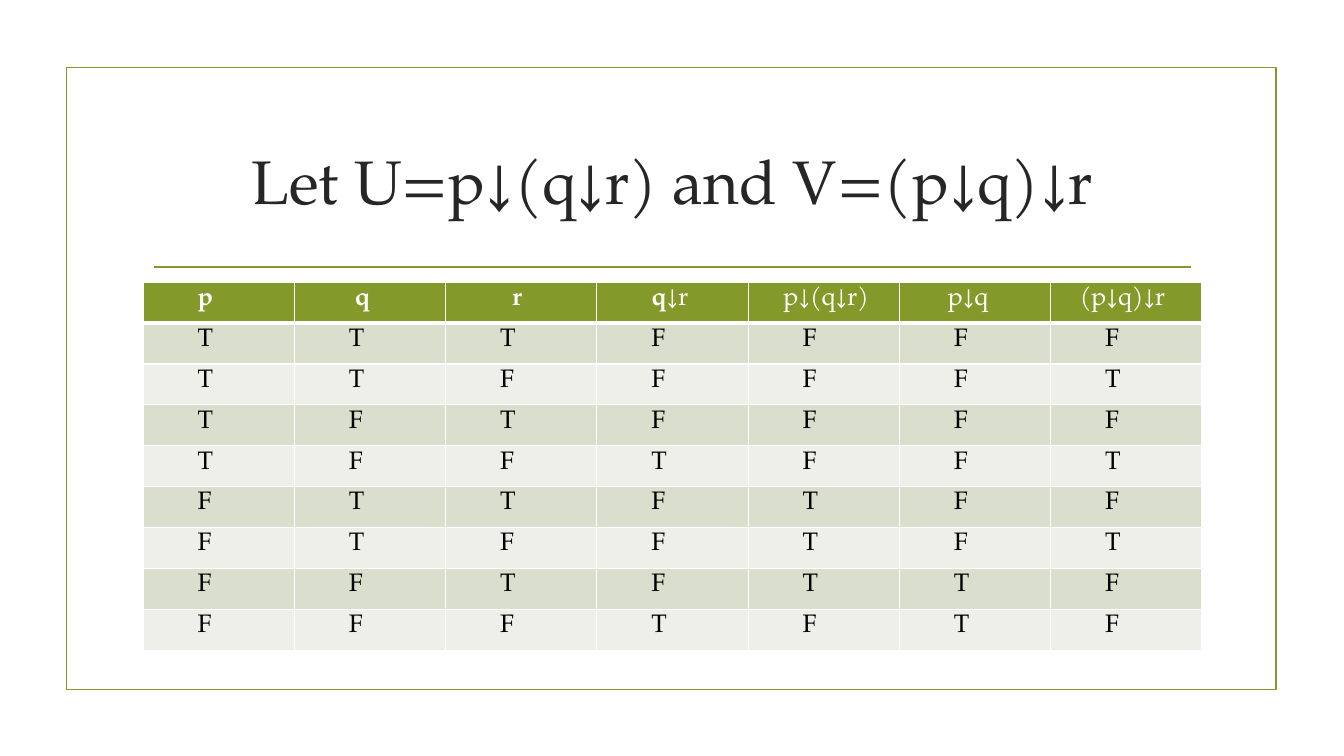
from itertools import product

from lxml.etree import SubElement
from pptx import Presentation
from pptx.dml.color import RGBColor
from pptx.enum.shapes import MSO_CONNECTOR, MSO_SHAPE
from pptx.enum.text import MSO_ANCHOR, PP_ALIGN
from pptx.oxml.ns import qn
from pptx.util import Pt

PX = 9144  # EMU per px, 100 px to the inch
FONT = "TeX Gyre Pagella"
GREEN = RGBColor(0x83, 0x99, 0x2A)
DARK = RGBColor(0x26, 0x26, 0x26)
BLACK = RGBColor(0, 0, 0)
WHITE = RGBColor(0xFF, 0xFF, 0xFF)
BANDS = RGBColor(0xD9, 0xDE, 0xCD), RGBColor(0xED, 0xEF, 0xE8)

TITLE = {"name": FONT, "size": Pt(44), "bold": False}
PLAIN = {"name": FONT, "size": Pt(18), "bold": False}
BOLD = {**PLAIN, "bold": True}
INDENT = 54

# Header cells: indent, bold part, plain part
HEADS = [
    (54, "p", ""),
    (60, "q", ""),
    (66, "r", ""),
    (54, "q", "↓r"),
    (35, "", "p↓(q↓r)"),
    (48, "", "p↓q"),
    (29, "", "(p↓q)↓r"),
]


def px(*vals):
    return [val * PX for val in vals]


def nor(a, b):
    return not (a or b)


def add_run(para, text, style, color):
    run = para.add_run()
    run.text = text
    for key, val in style.items():
        setattr(run.font, key, val)
    run.font.color.rgb = color


def set_line(shape):
    shape.line.color.rgb = GREEN
    shape.line.width = Pt(1.25)


def add_frame(slide, box):
    frame = slide.shapes.add_shape(MSO_SHAPE.RECTANGLE, *px(*box))
    frame.shadow.inherit = False
    frame.fill.background()
    set_line(frame)


def add_rule(slide, ends):
    rule = slide.shapes.add_connector(MSO_CONNECTOR.STRAIGHT, *px(*ends))
    set_line(rule)
    SubElement(rule._element.spPr, qn("a:effectLst"))


def add_title(slide, box, text):
    frame = slide.shapes.add_textbox(*px(*box)).text_frame
    frame.word_wrap = True
    frame.vertical_anchor = MSO_ANCHOR.MIDDLE
    para = frame.paragraphs[0]
    para.alignment = PP_ALIGN.CENTER
    add_run(para, text, TITLE, DARK)


def set_edges(cell, top, base):
    props = cell._tc.get_or_add_tcPr()
    for tag, width in {"lnL": 1, "lnR": 1, "lnT": top, "lnB": base}.items():
        edge = SubElement(props, qn(f"a:{tag}"), w=str(Pt(width)))
        fill = SubElement(edge, qn("a:solidFill"))
        SubElement(fill, qn("a:srgbClr"), val=str(WHITE))


def fill_cell(cell, indent, parts, color, fill, top=1, base=1):
    cell.margin_left = indent * PX
    set_edges(cell, top, base)
    cell.fill.solid()
    cell.fill.fore_color.rgb = fill
    para = cell.text_frame.paragraphs[0]
    for text, style in parts:
        if text:
            add_run(para, text, style, color)


def add_truths(slide, box):
    cases = list(product([True, False], repeat=3))
    shape = slide.shapes.add_table(len(cases) + 1, len(HEADS), *px(*box))
    table = shape.table
    table.horz_banding = False

    # Header row
    for col, (indent, bold, plain) in enumerate(HEADS):
        parts = [(bold, BOLD), (plain, PLAIN)]
        fill_cell(table.cell(0, col), indent, parts, WHITE, GREEN, base=3)

    # One row for each case of p, q and r
    for row, (p, q, r) in enumerate(cases, 1):
        qr, pq = nor(q, r), nor(p, q)
        vals = p, q, r, qr, nor(p, qr), pq, nor(pq, r)
        for col, val in enumerate(vals):
            parts = [("T" if val else "F", PLAIN)]
            fill_cell(table.cell(row, col), INDENT, parts, BLACK,
                      BANDS[(row - 1) % 2], top=3 if row == 1 else 1)


def main():
    deck = Presentation()
    deck.slide_width, deck.slide_height = px(1333, 750)
    slide = deck.slides.add_slide(deck.slide_layouts[6])

    # Frame and heading
    add_frame(slide, (66, 67, 1200, 617))
    add_rule(slide, (153, 265, 1181, 265))
    add_title(slide, (142, 107, 1050, 143), "Let U=p↓(q↓r) and V=(p↓q)↓r")

    # Truth table
    add_truths(slide, (142, 280, 1050, 365))
    deck.save("out.pptx")


if __name__ == "__main__":
    main()
